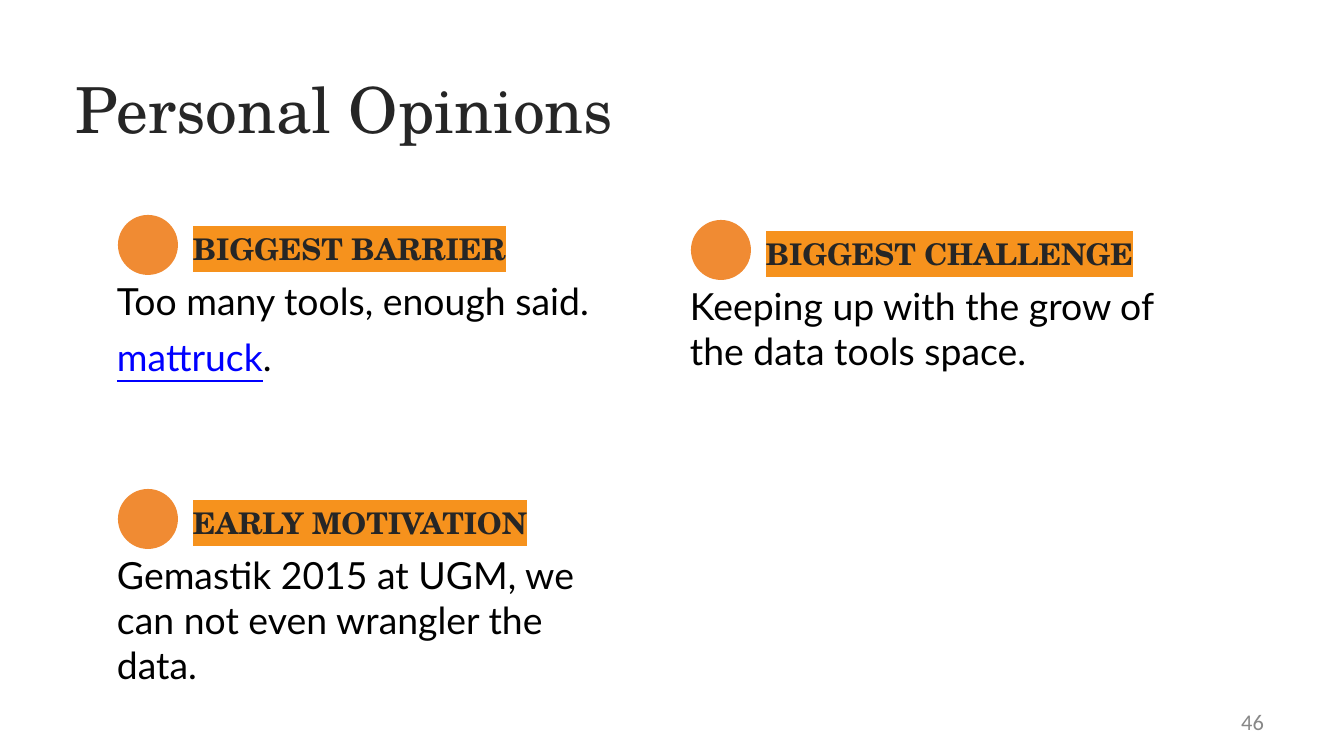
from dataclasses import dataclass

from lxml import etree
from pptx import Presentation
from pptx.dml.color import RGBColor
from pptx.enum import shapes, text
from pptx.oxml import ns
from pptx.util import Pt


@dataclass(frozen=True)
class Theme:
    """Colours, fonts and type sizes of the slide."""
    ink: str = "262626"
    body: str = "000000"
    link: str = "0000FF"
    mute: str = "888888"
    dot: str = "F08B33"
    mark: str = "F6921D"
    serif: str = "TeX Gyre Schola"
    sans: str = "Lato"
    plain: str = "Calibri"
    big: int = 34
    text: int = 20
    head: int = 16
    small: int = 12


THEME = Theme()
WIDE, HIGH = 1344, 756
SCALE = 914400 * 10 / WIDE


def px(*vals):
    """Turn px lengths into EMU."""
    return [round(v * SCALE) for v in vals]


def add_run(para, words, face, size, tint, bold=False, line=False):
    """Add one formatted run to a paragraph."""
    run = para.add_run()
    run.text = words
    font = run.font
    font.name, font.size, font.bold, font.underline = face, Pt(size), bold, line
    font.color.rgb = RGBColor.from_string(tint)
    return run


def add_mark(run, tint):
    """Put a highlight colour behind a run."""
    mark = etree.Element(ns.qn("a:highlight"))
    etree.SubElement(mark, ns.qn("a:srgbClr"), val=tint)
    run.font._element.find(ns.qn("a:solidFill")).addnext(mark)


def set_frame(shape, pads, anchor=text.MSO_ANCHOR.TOP):
    """Set wrapping, margins and anchor, and return the text frame."""
    frame = shape.text_frame
    frame.word_wrap = True
    frame.auto_size = text.MSO_AUTO_SIZE.NONE
    frame.vertical_anchor = anchor
    (frame.margin_left, frame.margin_top,
     frame.margin_right, frame.margin_bottom) = px(*pads)
    return frame


def add_title(slide, box, words):
    """Fill and place the title placeholder."""
    title = slide.shapes.title
    title.left, title.top, title.width, title.height = px(*box)
    para = set_frame(title, (1, 1, 0, 0)).paragraphs[0]
    para.alignment = text.PP_ALIGN.LEFT
    add_run(para, words, THEME.serif, THEME.big, THEME.ink)


def add_card(slide, box, head, lines):
    """Draw a dot, a marked heading and its body lines."""
    left, top, wide, high = box
    dot = slide.shapes.add_shape(
        shapes.MSO_SHAPE.OVAL, *px(left + 1, top, 60, 60))
    dot.shadow.inherit = False
    dot.fill.solid()
    dot.fill.fore_color.rgb = RGBColor.from_string(THEME.dot)
    dot.line.fill.background()

    area = slide.shapes.add_textbox(*px(left, top + 5, wide, high - 5))
    frame = set_frame(area, (0, 2, 0, 0))
    para = frame.paragraphs[0]
    para.line_spacing = Pt(24)
    props = para._p.get_or_add_pPr()
    props.set("marL", "0")
    props.set("indent", str(px(76)[0]))
    run = add_run(para, head, THEME.serif, THEME.head, THEME.ink, bold=True)
    add_mark(run, THEME.mark)
    for line in lines:
        para = frame.add_paragraph()
        para.space_before = Pt(6)
        for words, tint, under in line:
            add_run(para, words, THEME.sans, THEME.text, tint, line=under)


def add_number(slide, box, words):
    """Write the page number at the right."""
    area = slide.shapes.add_textbox(*px(*box))
    frame = set_frame(area, (13, 7, 13, 7), text.MSO_ANCHOR.MIDDLE)
    para = frame.paragraphs[0]
    para.alignment = text.PP_ALIGN.RIGHT
    add_run(para, words, THEME.plain, THEME.small, THEME.mute)


def main():
    """Build the opinions slide."""
    deck = Presentation()
    deck.slide_width, deck.slide_height = px(WIDE, HIGH)
    slide = deck.slides.add_slide(deck.slide_layouts[5])
    add_title(slide, (75, 69, 918, 78), "Personal Opinions")
    cards = [
        (117, 215, "BIGGEST BARRIER", [
            [("Too many tools, enough said.", THEME.body, False)],
            [("mattruck", THEME.link, True), (".", THEME.body, False)]]),
        (690, 220, "BIGGEST CHALLENGE", [
            [("Keeping up with the grow of the data tools space.",
              THEME.body, False)]]),
        (117, 489, "EARLY MOTIVATION", [
            [("Gemastik 2015 at UGM, we can not even wrangler the data.",
              THEME.body, False)]]),
    ]
    for left, top, head, lines in cards:
        add_card(slide, (left, top, 512, 160), head, lines)
    add_number(slide, (964, 702, 313, 40), "46")
    deck.save("out.pptx")


if __name__ == "__main__":
    main()
